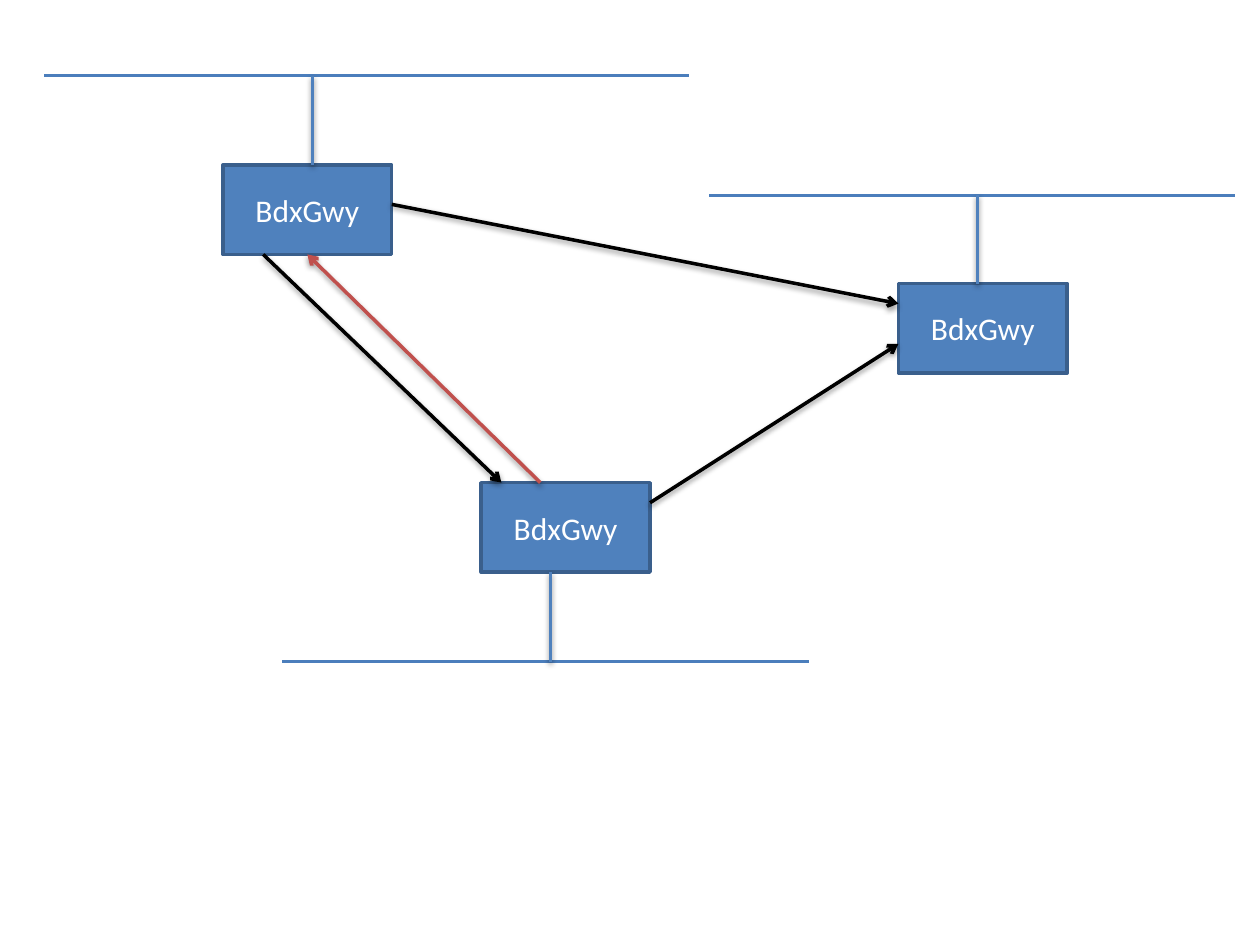
from lxml import etree
from pptx import Presentation
from pptx.dml.color import RGBColor
from pptx.enum.shapes import MSO_CONNECTOR, MSO_SHAPE
from pptx.enum.text import MSO_ANCHOR, PP_ALIGN
from pptx.oxml.ns import qn
from pptx.util import Pt

STRAIGHT = MSO_CONNECTOR.STRAIGHT
RECTANGLE = MSO_SHAPE.RECTANGLE
MIDDLE = MSO_ANCHOR.MIDDLE
CENTER = PP_ALIGN.CENTER

COLORS = {
    "box": "4F81BD",
    "border": "3A5F8C",
    "bus": "4B7EBC",
    "link": "000000",
    "reply": "C0504D",
    "text": "FFFFFF",
}
BOX_WIDTH, BOX_HEIGHT = 96.5, 51.1


class Diagram:
    font = "Calibri"
    font_size = 18
    line_width = 2

    def __init__(self, slide):
        self.slide = slide

    def color(self, name):
        return RGBColor.from_string(COLORS[name])

    def style_line(self, line, color):
        line.color.rgb = self.color(color)
        line.width = Pt(self.line_width)

    def box(self, left, top, text):
        shape = self.slide.shapes.add_shape(
            RECTANGLE, Pt(left), Pt(top), Pt(BOX_WIDTH), Pt(BOX_HEIGHT))
        shape.shadow.inherit = False
        shape.fill.solid()
        shape.fill.fore_color.rgb = self.color("box")
        self.style_line(shape.line, "border")
        shape.text_frame.text = text
        shape.text_frame.vertical_anchor = MIDDLE
        paragraph = shape.text_frame.paragraphs[0]
        paragraph.alignment = CENTER
        font = paragraph.runs[0].font
        font.name = self.font
        font.size = Pt(self.font_size)
        font.color.rgb = self.color("text")

    def line(self, start, end, color, shadow=True, arrow=False):
        points = [Pt(value) for value in (*start, *end)]
        connector = self.slide.shapes.add_connector(STRAIGHT, *points)
        self.style_line(connector.line, color)
        properties = connector._element.spPr
        if arrow:
            etree.SubElement(properties.find(qn("a:ln")), qn("a:tailEnd"), type="arrow")
        effects = etree.SubElement(properties, qn("a:effectLst"))
        if shadow:
            outer = etree.SubElement(
                effects, qn("a:outerShdw"), blurRad=str(Pt(3.1)),
                dist=str(Pt(1.6)), dir="5400000", rotWithShape="0")
            black = etree.SubElement(outer, qn("a:srgbClr"), val="000000")
            etree.SubElement(black, qn("a:alpha"), val="38000")


presentation = Presentation()
presentation.slide_width = Pt(720)
presentation.slide_height = Pt(540)
diagram = Diagram(presentation.slides.add_slide(presentation.slide_layouts[6]))

gateways = {
    "west": (127.4, 94.3),
    "east": (513.4, 162),
    "south": (275, 275.8),
}
buses = {
    "west": (25.2, 393.8, 43.2, 178.6),
    "east": (405.4, 705.6, 111.6, 558.7),
    "south": (161.3, 462.2, 378, 314.6),
}
for name, (left, top) in gateways.items():
    bus_start, bus_end, bus_y, stem_x = buses[name]
    edge_y = top if bus_y < top else top + BOX_HEIGHT
    diagram.box(left, top, "BdxGwy")
    diagram.line((bus_start, bus_y), (bus_end, bus_y), "bus", shadow=False)
    diagram.line((stem_x, min(bus_y, edge_y)), (stem_x, max(bus_y, edge_y)), "box")


def port(name, across, down):
    left, top = gateways[name]
    return left + across, top + down


links = [
    (port("west", 23, BOX_HEIGHT), port("south", 11.5, 0), "link"),
    (port("south", 33.8, 0), port("west", 48.25, BOX_HEIGHT), "reply"),
    (port("west", BOX_WIDTH, 22.5), port("east", 0, 11.5), "link"),
    (port("south", BOX_WIDTH, 11.5), port("east", 0, 34.5), "link"),
]
for start, end, color in links:
    diagram.line(start, end, color, arrow=True)

presentation.save("out.pptx")
